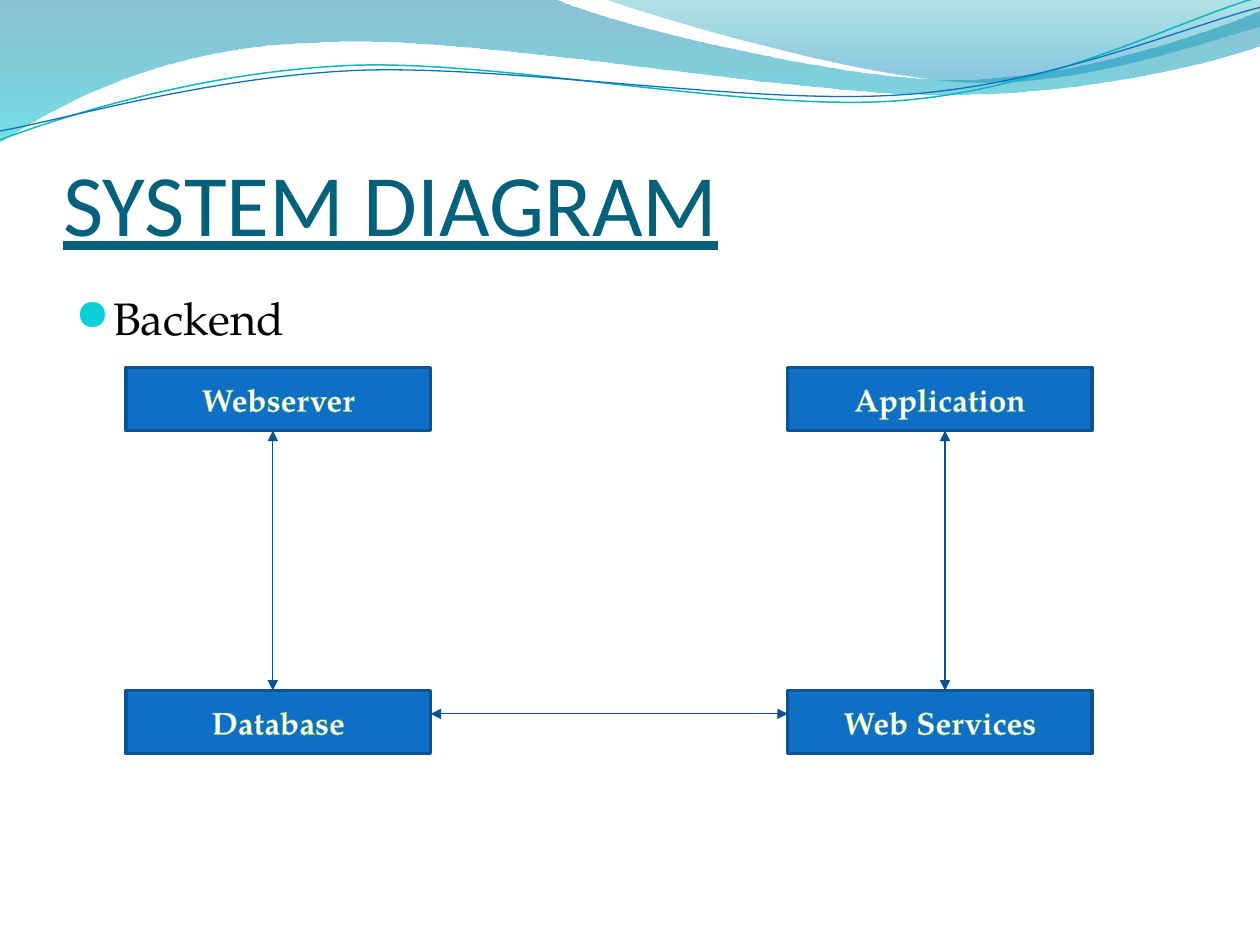
"""Build the system diagram slide with its wave header."""
from math import cos, radians, sin
from lxml import etree
from pptx import Presentation, util as u
from pptx.dml.color import RGBColor
from pptx.enum import shapes, text
from pptx.oxml.ns import qn

Cm, Pt = u.Cm, u.Pt
HUES = {
    "title": "04617B", "black": "000000", "white": "FFFFFF", "dot": "0BD0D9",
    "box": "0F6FC6", "edge": "0B5292", "arrow": "095295", "glow": "7CCA62",
    "teal": "0AB8BF", "deep": "0074A1", "aqua": "00C6CF", "sea": "00A1A9", "sky": "008BBF",
}
RGB = {name: RGBColor.from_string(hue) for name, hue in HUES.items()}


def draw(parts, start, steps, close, mid=(0, 0), turn=0):
    """Add a freeform of lines (x, y) and cubic curves (three points), in centimetres."""
    c, s = cos(radians(turn)), sin(radians(turn))
    flat = [start] + [step[i:i + 2] for step in steps for i in range(0, len(step), 2)]
    gaps = [(x - mid[0], y - mid[1]) for x, y in flat]
    pts = [(Cm(mid[0] + x * c - y * s), Cm(mid[1] + x * s + y * c)) for x, y in gaps]
    pen = parts.build_freeform(*pts[0], scale=1.0)
    pen.add_line_segments(pts[1:], close=close)
    form = pen.convert_to_shape()
    form.shadow.inherit = False
    form.rotation = -turn
    lines = iter(list(form._element.spPr.iter(qn("a:lnTo"))))
    for step in steps:
        nodes = [next(lines) for i in range(len(step) // 2)]
        if len(nodes) == 3:
            curve = etree.Element(qn("a:cubicBezTo"))
            nodes[0].addprevious(curve)
            for node in nodes:
                curve.append(node[0])
                node.getparent().remove(node)
    return form


def style(run, look):
    """Set font values and colour on a run."""
    for key, val in look.items():
        if key == "color":
            run.font.color.rgb = RGB[val]
        else:
            setattr(run.font, key, val)


prs = Presentation()
prs.slide_width, prs.slide_height = Cm(25.4), Cm(19.05)
slide = prs.slides.add_slide(prs.slide_layouts[5])
parts = slide.shapes

bands = [
    ((0, 0), [(11.18, -0.02), (12.09, 0.43, 16.87, 1.6, 19.25, 1.6),
              (21.67, 1.6, 24.33, 0.66, 25.4, 0.23), (25.43, 0.91),
              (24.97, 1.12, 22.1, 1.93, 18.95, 1.91),
              (15.8, 1.91, 9.7, 0.71, 6.53, 0.86),
              (3.28, 0.91, 1.17, 2.11, -0.03, 2.87), (0, 0)],
     [(0, "deep", 45), (1, "aqua", 55)]),
    ((12.17, -0.02), [(12.93, 0.28, 17.32, 1.57, 19.53, 1.65),
                      (21.74, 1.75, 24.41, 0.81, 25.4, 0.53), (25.4, 0), (12.17, -0.02)],
     [(0, "sea", 30), (0.8, "sky", 45)]),
]
for start, steps, stops in bands:
    band = draw(parts, start, steps, True)
    band.line.fill.background()
    band.fill.gradient()
    band.fill.gradient_angle = 270
    for stop, (place, hue, alpha) in zip(band.fill.gradient_stops, stops):
        stop.position = place
        stop.color.rgb = RGB[hue]
    for node, (place, hue, alpha) in zip(band._element.spPr.iter(qn("a:srgbClr")), stops):
        etree.SubElement(node, qn("a:alpha"), val=str(alpha * 1000))

waves = [
    ((0, 2.82), [(1.22, 2.36, 4.01, 1.45, 7.04, 1.32), (10.03, 1.19, 15.06, 2.26, 18.11, 2.03),
                 (21.16, 1.8, 23.83, 0.38, 25.35, -0.05)], (12.67, 1.46), "teal", 0.85),
    ((0, 2.64), [(1.19, 2.44, 4.17, 1.55, 7.19, 1.42), (10.24, 1.3, 15.16, 2.13, 18.21, 1.91),
                 (21.23, 1.7, 23.9, 0.53, 25.4, 0.15)], (12.69, 1.5), "box", 0.75),
]
for start, steps, mid, hue, width in waves:
    wave = draw(parts, start, steps, False, mid, 2.7)
    wave.fill.background()
    wave.line.color.rgb, wave.line.width = RGB[hue], Pt(width)

title = parts.title
title.left, title.top, title.width, title.height = Cm(1.27), Cm(1.96), Cm(22.86), Cm(3.17)
frame = title.text_frame
form = {"margin_left": 0, "margin_top": Cm(0.13), "margin_right": 0, "margin_bottom": 0,
        "word_wrap": True, "auto_size": text.MSO_AUTO_SIZE.NONE,
        "vertical_anchor": text.MSO_ANCHOR.BOTTOM}
for key, val in form.items():
    setattr(frame, key, val)
para = frame.paragraphs[0]
para.alignment = text.PP_ALIGN.LEFT
run = para.add_run()
run.text = "SYSTEM DIAGRAM"
style(run, {"name": "Calibri", "size": Pt(50), "underline": True, "color": "title"})

body = parts.add_textbox(Cm(1.27), Cm(5.72), Cm(22.86), Cm(11.86))
body.text_frame.word_wrap = True
para = body.text_frame.paragraphs[0]
para.space_before = Pt(5.2)
run = para.add_run()
run.text = "Backend"
style(run, {"name": "TeX Gyre Pagella", "size": Pt(26), "color": "black"})
props = para._p.get_or_add_pPr()
props.set("marL", str(Cm(0.76)))
props.set("indent", str(Cm(-0.76)))
tint = etree.SubElement(props, qn("a:buClr"))
etree.SubElement(tint, qn("a:srgbClr"), val=HUES["dot"])
etree.SubElement(props, qn("a:buSzPct"), val="95000")
etree.SubElement(props, qn("a:buFont"), typeface="OpenSymbol")
etree.SubElement(props, qn("a:buChar"), char="●")

names = [["Webserver", "Application"], ["Database", "Web Services"]]
label = {"name": "TeX Gyre Pagella", "size": Pt(18), "bold": True, "color": "white"}
for left, col in zip((2.54, 15.88), zip(*names)):
    for top, name in zip((7.41, 13.92), col):
        box = parts.add_shape(shapes.MSO_SHAPE.RECTANGLE, Cm(left), Cm(top), Cm(6.14), Cm(1.27))
        box.shadow.inherit = False
        box.fill.solid()
        box.fill.fore_color.rgb = RGB["box"]
        box.line.color.rgb, box.line.width = RGB["edge"], Pt(2)
        box.text_frame.vertical_anchor = text.MSO_ANCHOR.MIDDLE
        para = box.text_frame.paragraphs[0]
        para.alignment = text.PP_ALIGN.CENTER
        run = para.add_run()
        run.text = name
        style(run, label)
        rim = etree.Element(qn("a:ln"), w=str(Pt(0.8)))
        tint = etree.SubElement(rim, qn("a:solidFill"))
        etree.SubElement(tint, qn("a:srgbClr"), val=HUES["glow"])
        run._r.get_or_add_rPr().insert(0, rim)

links = [(5.5, 13.92, 5.5, 8.68), (8.68, 14.39, 15.88, 14.39), (19.05, 8.68, 19.05, 13.92)]
for ends in links:
    link = parts.add_connector(shapes.MSO_CONNECTOR.STRAIGHT, *map(Cm, ends))
    link.line.color.rgb, link.line.width = RGB["arrow"], Pt(0.75)
    line = link.line._get_or_add_ln()
    for tip in ("a:headEnd", "a:tailEnd"):
        etree.SubElement(line, qn(tip), type="triangle")
    etree.SubElement(link._element.spPr, qn("a:effectLst"))

prs.save("out.pptx")
